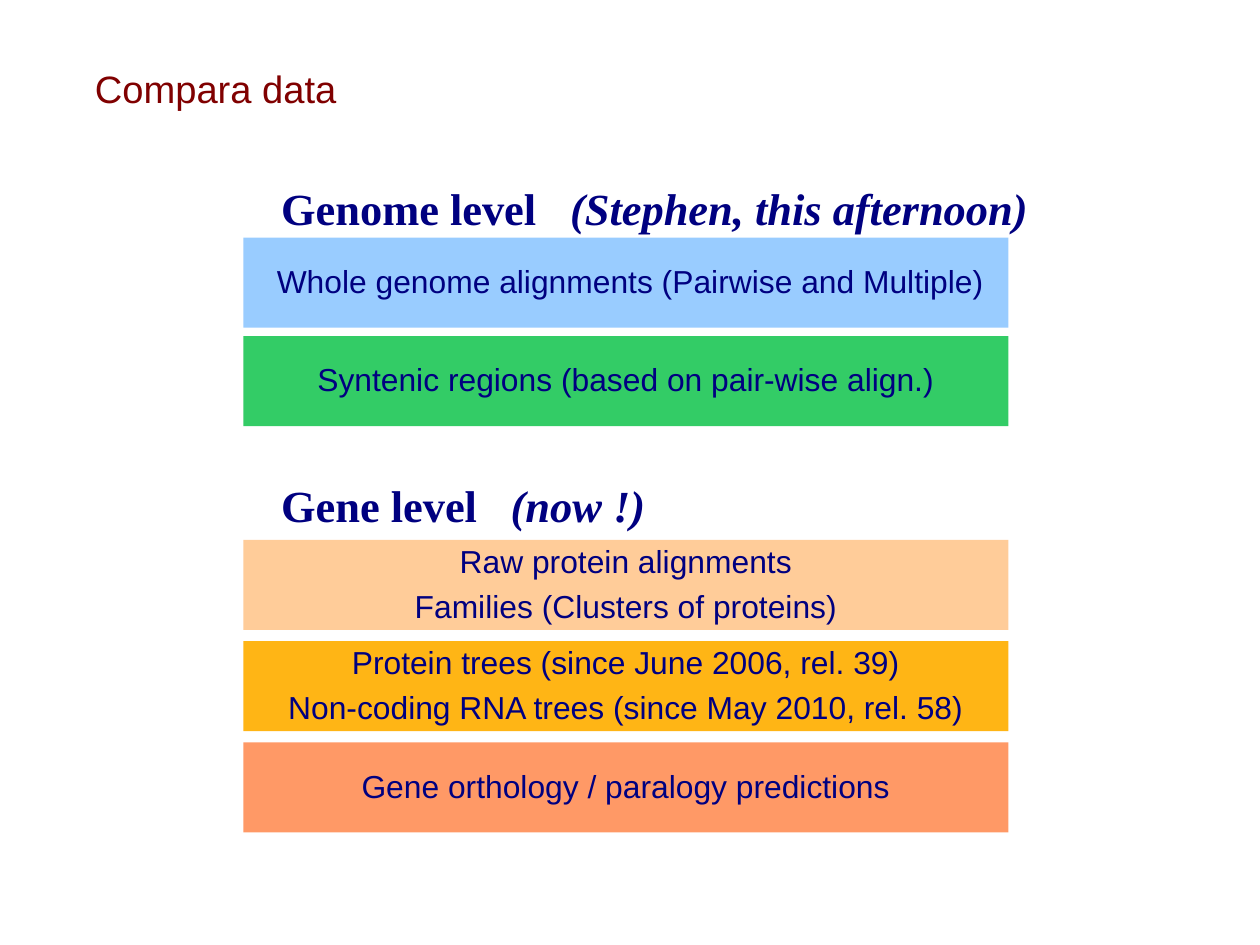
from dataclasses import dataclass

from pptx import Presentation
from pptx.dml.color import RGBColor
from pptx.enum.shapes import MSO_SHAPE
from pptx.enum.text import MSO_ANCHOR, PP_ALIGN
from pptx.oxml import parse_xml
from pptx.oxml.ns import nsdecls
from pptx.util import Cm, Pt

RECTANGLE = MSO_SHAPE.RECTANGLE
MIDDLE, TOP = MSO_ANCHOR.MIDDLE, MSO_ANCHOR.TOP
LEFT, CENTER = PP_ALIGN.LEFT, PP_ALIGN.CENTER

# Content
TITLE = "Compara data"
GROUPS = [
    {
        "heading": "Genome level", "remark": "(Stephen, this afternoon)",
        "remark_tab": 6.42, "heading_top": 3.99, "first_bar": 5.28, "pitch": 2.19,
        "bars": [
            {"color": "99CCFF", "shift": 0.2,
             "lines": ["Whole genome alignments (Pairwise and Multiple)"]},
            {"color": "33CC66",
             "lines": ["Syntenic regions (based on pair-wise align.)"]},
        ],
    },
    {
        "heading": "Gene level", "remark": "(now !)",
        "remark_tab": 5.1, "heading_top": 10.59, "first_bar": 12, "pitch": 2.25,
        "bars": [
            {"color": "FFCC99",
             "lines": ["Raw protein alignments", "Families (Clusters of proteins)"]},
            {"color": "FFB515",
             "lines": ["Protein trees (since June 2006, rel. 39)",
                       "Non-coding RNA trees (since May 2010, rel. 58)"]},
            {"color": "FF9966", "lines": ["Gene orthology / paralogy predictions"]},
        ],
    },
]


@dataclass(frozen=True)
class Theme:
    title_color: str = "800000"
    text_color: str = "000080"
    body_font: str = "Arial"
    heading_font: str = "Times New Roman"
    title_size: int = 24
    heading_size: int = 28
    bar_size: int = 20
    title_spacing: float = 0.87
    text_spacing: float = 0.93
    bar_gap: int = 6


THEME = Theme()

# Layout in centimetres
SLIDE_WIDTH, SLIDE_HEIGHT = 28, 21
TITLE_BOX = (2.11, 0.66, 23.75, 2.74)
BAR_LEFT, BAR_WIDTH, BAR_HEIGHT = 5.41, 17, 2
HEADING_LEFT, HEADING_WIDTH, HEADING_HEIGHT = 6, 19, 1.35
INSET_X, INSET_Y = 0.25, 0.13


def prepare_frame(shape, anchor, inset_x=INSET_X, inset_y=INSET_Y, shift=0):
    frame = shape.text_frame
    frame.word_wrap = True
    frame.vertical_anchor = anchor
    frame.margin_left, frame.margin_right = Cm(inset_x + shift), Cm(inset_x)
    frame.margin_top = frame.margin_bottom = Cm(inset_y)
    return frame


def add_run(paragraph, text, font_name, size, color, bold=False, italic=False):
    run = paragraph.add_run()
    run.text = text
    run.font.name, run.font.size = font_name, Pt(size)
    run.font.bold, run.font.italic = bold, italic
    run.font.color.rgb = RGBColor.from_string(color)


def add_title(slide):
    box = slide.shapes.add_textbox(*map(Cm, TITLE_BOX))
    paragraph = prepare_frame(box, MIDDLE, 0, 0).paragraphs[0]
    paragraph.alignment = LEFT
    paragraph.line_spacing = THEME.title_spacing
    add_run(paragraph, TITLE, THEME.body_font, THEME.title_size, THEME.title_color)


def add_heading(slide, group):
    box = slide.shapes.add_textbox(Cm(HEADING_LEFT), Cm(group["heading_top"]),
                                   Cm(HEADING_WIDTH), Cm(HEADING_HEIGHT))
    paragraph = prepare_frame(box, TOP).paragraphs[0]
    paragraph.alignment = LEFT
    paragraph.line_spacing = THEME.text_spacing
    # The tab stop sets where the remark starts
    paragraph._p.get_or_add_pPr().append(parse_xml(
        f'<a:tabLst {nsdecls("a")}><a:tab pos="{Cm(group["remark_tab"])}" algn="l"/></a:tabLst>'))
    for text, italic in ((group["heading"] + "\t", False), (group["remark"], True)):
        add_run(paragraph, text, THEME.heading_font, THEME.heading_size,
                THEME.text_color, bold=True, italic=italic)


def add_bar(slide, bar, top):
    shape = slide.shapes.add_shape(RECTANGLE, Cm(BAR_LEFT), Cm(top),
                                   Cm(BAR_WIDTH), Cm(BAR_HEIGHT))
    shape.shadow.inherit = False
    shape.fill.solid()
    shape.fill.fore_color.rgb = RGBColor.from_string(bar["color"])
    shape.line.fill.background()
    frame = prepare_frame(shape, MIDDLE, shift=bar.get("shift", 0))
    for index, line in enumerate(bar["lines"]):
        paragraph = frame.add_paragraph() if index else frame.paragraphs[0]
        paragraph.alignment = CENTER
        paragraph.line_spacing = THEME.text_spacing
        if index:
            paragraph.space_before = Pt(THEME.bar_gap)
        add_run(paragraph, line, THEME.body_font, THEME.bar_size, THEME.text_color)


def main():
    presentation = Presentation()
    presentation.slide_width = Cm(SLIDE_WIDTH)
    presentation.slide_height = Cm(SLIDE_HEIGHT)
    slide = presentation.slides.add_slide(presentation.slide_layouts[6])
    add_title(slide)
    for group in GROUPS:
        for index, bar in enumerate(group["bars"]):
            add_bar(slide, bar, group["first_bar"] + index * group["pitch"])
        add_heading(slide, group)
    presentation.save("out.pptx")


if __name__ == "__main__":
    main()
